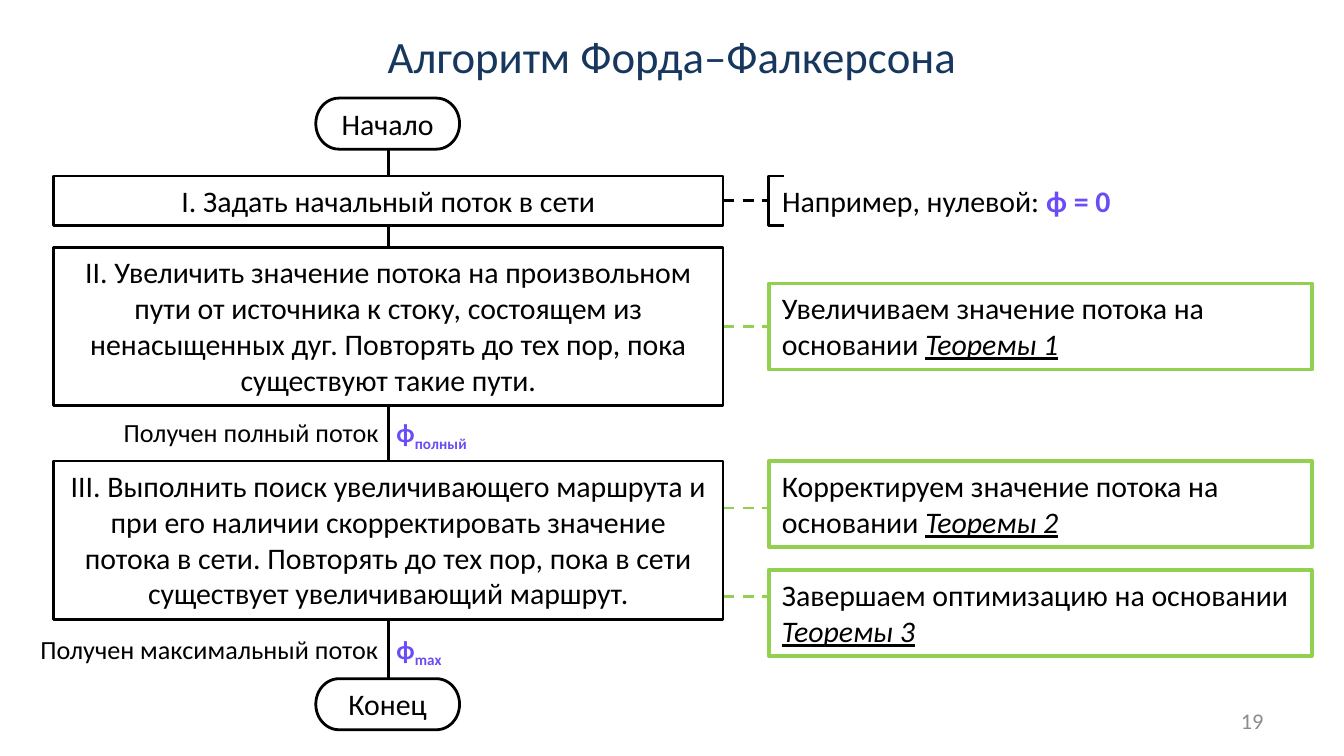
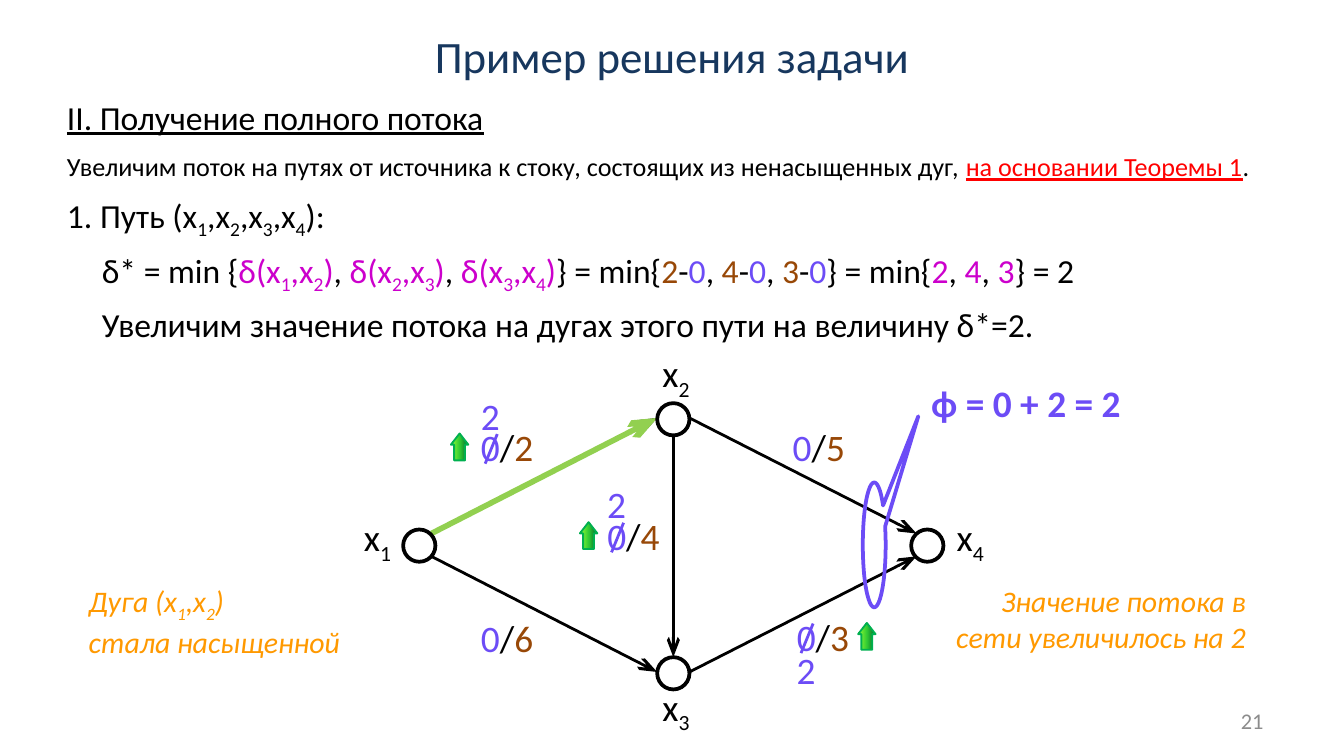
"""Build two slides on the Ford–Fulkerson algorithm: a flowchart and a worked network example."""
from copy import deepcopy

from lxml import etree
from pptx import Presentation
from pptx.dml.color import RGBColor
from pptx.enum.dml import MSO_LINE
from pptx.enum.shapes import MSO_CONNECTOR, MSO_SHAPE
from pptx.enum.text import MSO_ANCHOR, MSO_AUTO_SIZE, PP_ALIGN
from pptx.oxml.ns import qn
from pptx.util import Pt

PX = 9144
FONT = "Calibri"
BLACK = RGBColor(0x00, 0x00, 0x00)
WHITE = RGBColor(0xFF, 0xFF, 0xFF)
NAVY = RGBColor(0x17, 0x37, 0x5E)
GREY = RGBColor(0x8C, 0x8C, 0x8C)
LIME = RGBColor(0x92, 0xD0, 0x50)
VIOLET = RGBColor(0x6C, 0x4C, 0xF6)
BROWN = RGBColor(0x98, 0x48, 0x07)
MAGENTA = RGBColor(0xCC, 0x00, 0xCC)
ORANGE = RGBColor(0xFF, 0x99, 0x00)
RED = RGBColor(0xFF, 0x00, 0x00)
GREEN = RGBColor(0x00, 0xB0, 0x50)
ARROW_GRADIENT = (
    (0, RGBColor(0x00, 0x68, 0x2F)),
    (0.5, RGBColor(0x33, 0xCC, 0x33)),
    (1, RGBColor(0x99, 0xFF, 0x33)),
)

LEFT, CENTER, RIGHT = PP_ALIGN.LEFT, PP_ALIGN.CENTER, PP_ALIGN.RIGHT
TOP, MIDDLE = MSO_ANCHOR.TOP, MSO_ANCHOR.MIDDLE
GROW, FIXED = MSO_AUTO_SIZE.SHAPE_TO_FIT_TEXT, MSO_AUTO_SIZE.NONE
RECTANGLE, TERMINATOR = MSO_SHAPE.RECTANGLE, MSO_SHAPE.FLOWCHART_TERMINATOR
ELLIPSE, BRACKET = MSO_SHAPE.OVAL, MSO_SHAPE.LEFT_BRACKET
ARROW, CALLOUT = MSO_SHAPE.RIGHT_ARROW, MSO_SHAPE.OVAL_CALLOUT
STRAIGHT, DASH = MSO_CONNECTOR.STRAIGHT, MSO_LINE.DASH


def add_box(slide, box, paragraphs=(), kind=None, line=BLACK, line_width=1.5,
            size=16, color=BLACK, style="", align=LEFT, inset=(10, 5),
            wrap=True, auto_size=GROW, anchor=TOP):
    """Add a text box or preset shape; text between tildes becomes subscript."""
    bounds = [length * PX for length in box]
    if kind is None:
        shape = slide.shapes.add_textbox(*bounds)
    else:
        shape = slide.shapes.add_shape(kind, *bounds)
        shape.shadow.inherit = False
        shape.fill.background()
        shape.line.color.rgb = line
        shape.line.width = Pt(line_width)
    if not paragraphs:
        return shape
    frame = shape.text_frame
    frame.word_wrap = wrap
    frame.auto_size = auto_size
    frame.vertical_anchor = anchor
    frame.margin_left = frame.margin_right = inset[0] * PX
    frame.margin_top = frame.margin_bottom = inset[1] * PX
    for number, runs in enumerate(paragraphs):
        paragraph = frame.add_paragraph() if number else frame.paragraphs[0]
        paragraph.alignment = align
        paragraph.font.name = FONT
        paragraph.font.size = Pt(size)
        paragraph.font.color.rgb = color
        if "i" in style:
            paragraph.font.italic = True
        for item in runs:
            text, run_color, run_style = item if isinstance(item, tuple) else (item, None, "")
            for index, piece in enumerate(text.split("~")):
                if not piece:
                    continue
                run = paragraph.add_run()
                run.text = piece
                if run_color is not None:
                    run.font.color.rgb = run_color
                if "b" in run_style:
                    run.font.bold = True
                if "i" in run_style:
                    run.font.italic = True
                if "u" in run_style:
                    run.font.underline = True
                if index % 2:
                    run.font._element.set("baseline", "-25000")
    return shape


def add_line(slide, start, end, color=BLACK, width=1.5, dash=None, arrow=False):
    """Add a straight connector, optionally dashed or with an arrowhead."""
    connector = slide.shapes.add_connector(STRAIGHT, *(length * PX for length in (*start, *end)))
    connector.line.color.rgb = color
    connector.line.width = Pt(width)
    if dash is not None:
        connector.line.dash_style = dash
    properties = connector._element.spPr
    if arrow:
        etree.SubElement(properties.find(qn("a:ln")), qn("a:tailEnd"), type="arrow", len="lg")
    etree.SubElement(properties, qn("a:effectLst"))


presentation = Presentation()
presentation.slide_width = 1000 * PX
presentation.slide_height = presentation.slide_width * 9 // 16
slides = []
for title, page in (("Алгоритм Форда–Фалкерсона", "19"), ("Пример решения задачи", "21")):
    slide = presentation.slides.add_slide(presentation.slide_layouts[6])
    add_box(slide, (50, 14, 900, 54), [[title]], size=24, color=NAVY, align=CENTER,
            inset=(0, 0), auto_size=FIXED, anchor=MIDDLE)
    add_box(slide, (717, 521, 233, 30), [[page]], size=12, color=GREY, align=RIGHT,
            auto_size=FIXED, anchor=MIDDLE)
    slides.append(slide)
flowchart, example = slides

STEP_LEFT, STEP_WIDTH, NOTE_LEFT, AXIS = 40, 498, 572, 289
STEP_RIGHT = STEP_LEFT + STEP_WIDTH

for y, color in ((149, BLACK), (243, LIME), (378, LIME), (444, LIME)):
    add_line(flowchart, (STEP_RIGHT, y), (NOTE_LEFT, y), color, dash=DASH)
for top, bottom in ((111, 131), (168, 184), (302, 343), (461, 505)):
    add_line(flowchart, (AXIS, top), (AXIS, bottom))

for top, text in ((73, "Начало"), (505, "Конец")):
    add_box(flowchart, (235, top, 107, 38), [[text]], TERMINATOR, align=CENTER, inset=(0, 0))

steps = (
    (131, 37, "I. Задать начальный поток в сети"),
    (184, 118, "II. Увеличить значение потока на произвольном пути от источника к стоку, "
               "состоящем из ненасыщенных дуг. Повторять до тех пор, пока существуют такие пути."),
    (343, 118, "III. Выполнить поиск увеличивающего маршрута и при его наличии скорректировать "
               "значение потока в сети. Повторять до тех пор, пока в сети существует "
               "увеличивающий маршрут."),
)
for top, height, text in steps:
    add_box(flowchart, (STEP_LEFT, top, STEP_WIDTH, height), [[text]], RECTANGLE, align=CENTER)

notes = (
    (211, "Увеличиваем значение потока на основании ", "Теоремы 1"),
    (343, "Корректируем значение потока на основании ", "Теоремы 2"),
    (424, "Завершаем оптимизацию на основании ", "Теоремы 3"),
)
for top, text, theorem in notes:
    add_box(flowchart, (NOTE_LEFT, top, 404, 64), [[text, (theorem, None, "iu")]],
            RECTANGLE, LIME, 2)

add_box(flowchart, (NOTE_LEFT, 131, 289, 37), [["Например, нулевой: ", ("ϕ = 0", VIOLET, "b")]])
bracket = add_box(flowchart, (NOTE_LEFT, 131, 11, 37), kind=BRACKET)
bracket.adjustments[0] = 0

results = (
    (92, 310, 272, "Получен полный поток", "полный"),
    (30, 471, 303, "Получен максимальный поток", "max"),
)
for left, top, width, text, index in results:
    label = add_box(flowchart, (left, top, width, 24),
                    [[text + "\t", (f"ϕ~{index}~", VIOLET, "b")]], size=14, inset=(0, 0))
    tabs = etree.Element(qn("a:tabLst"))
    etree.SubElement(tabs, qn("a:tab"), pos=str((AXIS + 6 - left) * PX), algn="l")
    label.text_frame.paragraphs[0]._p.get_or_add_pPr().insert(0, tabs)

add_box(example, (40, 67, 334, 40), [[("II. Получение полного потока", None, "u")]],
        size=18, wrap=False)
add_box(example, (40, 107, 919, 34), [[
    "Увеличим поток на путях от источника к стоку, состоящих из ненасыщенных дуг, ",
    ("на основании Теоремы 1", RED, "u"), "."]], size=14)

formula = ["δ* = min {"]
for separator, pair in ((", ", (1, 2)), (", ", (2, 3)), ("} = min{", (3, 4))):
    formula += [("δ(х~%d~,х~%d~)" % pair, MAGENTA, ""), separator]
for separator, capacity in ((", ", "2"), (", ", "4"), ("} = min{", "3")):
    formula += [(capacity, BROWN, ""), "-", ("0", VIOLET, ""), separator]
for separator, reserve in ((", ", "2"), (", ", "4"), ("} = 2", "3")):
    formula += [(reserve, MAGENTA, ""), separator]
derivation = (
    (40, 140, 225, ["1. Путь (х~1~,х~2~,х~3~,х~4~):"]),
    (66, 181, 757, formula),
    (66, 221, 716, ["Увеличим значение потока на дугах этого пути на величину δ*=2."]),
)
for left, top, width, runs in derivation:
    add_box(example, (left, top, width, 40), [runs], size=18, wrap=False)

arcs = (
    ((321, 397), (489, 311), BLACK, 1.5),
    ((321, 397), (489, 311), LIME, 3),
    ((321, 414), (489, 500), BLACK, 1.5),
    ((501, 323), (501, 489), BLACK, 1.5),
    ((513, 311), (682, 397), BLACK, 1.5),
    ((513, 500), (682, 414), BLACK, 1.5),
)
for start, end, color, width in arcs:
    add_line(example, start, end, color, width, arrow=True)

nodes = ((300, 394, 261, 378), (489, 300, 483, 256), (489, 489, 483, 504), (678, 394, 702, 378))
for number, (left, top, label_left, label_top) in enumerate(nodes, 1):
    circle = add_box(example, (left, top, 24, 24), kind=ELLIPSE, line_width=2)
    circle.fill.solid()
    circle.fill.fore_color.rgb = WHITE
    add_box(example, (label_left, label_top, 42, 44), [[f"х~{number}~"]], size=20, wrap=False)

flows = ((348, 311, "2"), (442, 377, "4"), (583, 452, "3"), (580, 311, "5"), (348, 453, "6"))
for left, top, capacity in flows:
    add_box(example, (left, top, 59, 44), [[("0", VIOLET, ""), "/", (capacity, BROWN, "")]],
            size=20, wrap=False)

increases = ((348, 311, -23, -16), (442, 377, -24, -14), (583, 452, 25, 52))
for left, top, digit_shift, arrow_shift in increases:
    add_box(example, (left, top + digit_shift, 34, 44), [["2"]], size=20, color=VIOLET, wrap=False)
    add_line(example, (left + 22, top + 12), (left + 13, top + 34), VIOLET)
    arrow = add_box(example, (left + arrow_shift, top + 15, 20, 13), kind=ARROW,
                    line=GREEN, line_width=1)
    arrow.rotation = 270
    arrow.adjustments[0], arrow.adjustments[1] = 0.62, 0.64
    arrow.fill.gradient()
    arrow.fill.gradient_angle = 90
    stop_list = arrow._element.spPr.find(".//" + qn("a:gsLst"))
    stop_list.append(deepcopy(stop_list[0]))
    for stop, (position, color) in zip(arrow.fill.gradient_stops, ARROW_GRADIENT):
        stop.position = position
        stop.color.rgb = color

callout = add_box(example, (642, 359, 17, 93), kind=CALLOUT, line=VIOLET, line_width=2)
callout.adjustments[0], callout.adjustments[1] = 1.93, -1.03
add_box(example, (683, 278, 163, 44), [[("ϕ = 0 + 2 = 2", None, "b")]],
        size=20, color=VIOLET, wrap=False)

remarks = (
    (66, 212, LEFT, [["Дуга (х~1~,х~2~)"], ["стала насыщенной"]]),
    (702, 225, RIGHT, [["Значение потока в сети увеличилось на 2"]]),
)
for left, width, align, paragraphs in remarks:
    add_box(example, (left, 429, width, 64), paragraphs, color=ORANGE, style="i",
            align=align, inset=(0, 5))

presentation.save("out.pptx")
